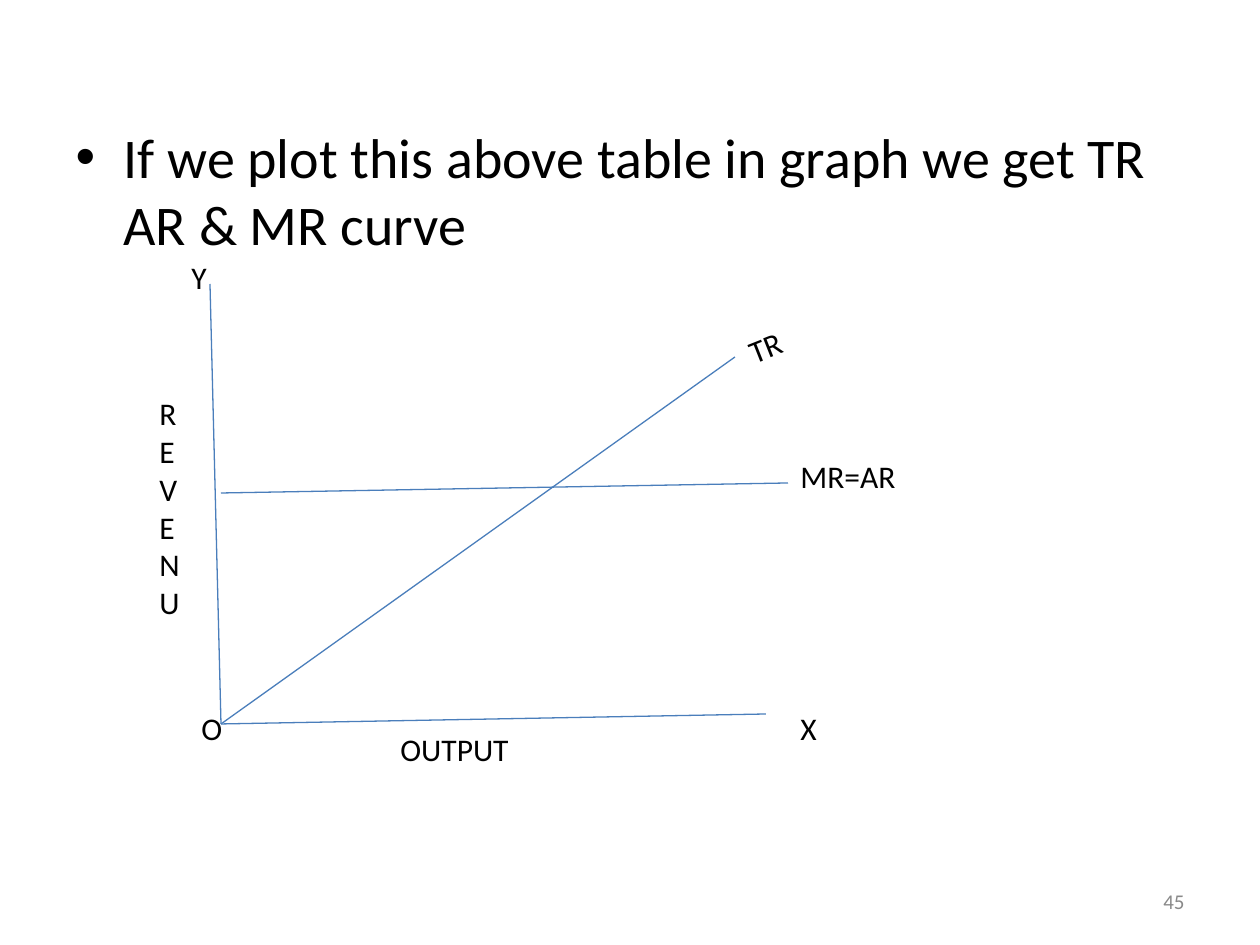
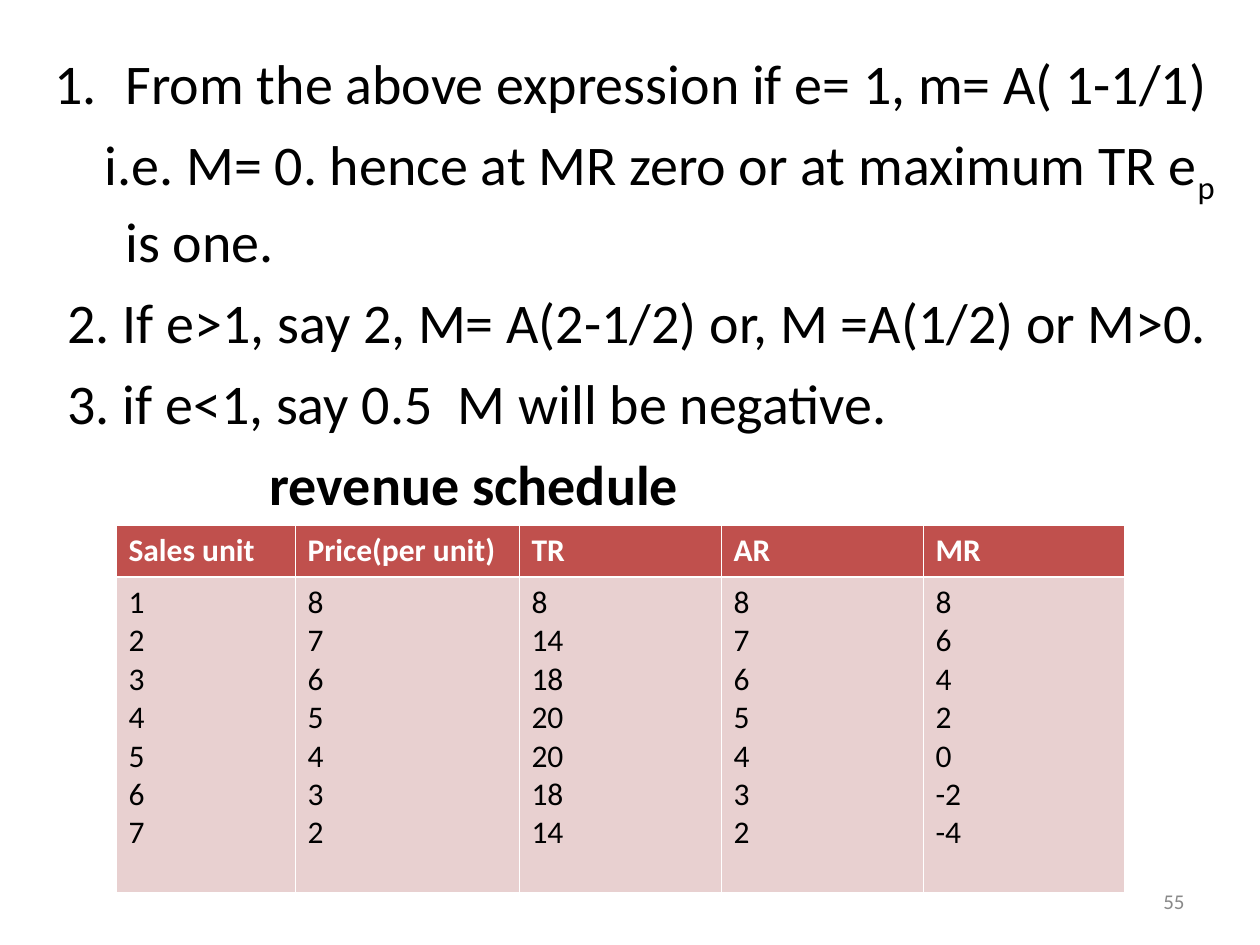
from lxml import etree
from pptx import Presentation
from pptx.dml.color import RGBColor
from pptx.enum.shapes import MSO_CONNECTOR
from pptx.enum.text import MSO_ANCHOR, MSO_AUTO_SIZE, PP_ALIGN
from pptx.oxml.ns import qn
from pptx.util import Emu, Pt

STRAIGHT = MSO_CONNECTOR.STRAIGHT
MIDDLE = MSO_ANCHOR.MIDDLE
NO_FIT = MSO_AUTO_SIZE.NONE
LEFT, RIGHT = PP_ALIGN.LEFT, PP_ALIGN.RIGHT

COLORS = {"text": "000000", "page": "898989", "line": "4A7EBB",
          "head": "C0504D", "cell": "E8D0D0", "white": "FFFFFF"}
FONT = "Calibri"
PX = 914400 / 126


def px(*nums):
    return [Emu(round(n * PX)) for n in nums]


def add_run(para, text, size, color="text", bold=False):
    run = para.add_run()
    run.text = text
    font = run.font
    font.name, font.size, font.bold = FONT, Pt(size), bold
    font.color.rgb = RGBColor.from_string(COLORS[color])
    return run


prs = Presentation()
prs.slide_width, prs.slide_height = px(1260, 945)

# Both slides: body list and page number
# Paragraph: bullet tag, bullet attributes, margin, indent, runs (text, style)
graph_list = [
    ("buChar", {"char": "•"}, 48, -48,
     [("If we plot this above table in graph we get TR AR & MR curve", "")]),
]
rule_list = [
    ("buAutoNum", {"type": "arabicPeriod"}, 71, -71,
     [("From the above expression if e= 1, m= A( 1-1/1)", "")]),
    ("buNone", {}, 71, -21,
     [("i.e. M= 0. hence at MR zero or at maximum TR e", ""),
      ("p ", "sub"), (" is one.", "")]),
    ("buNone", {}, 71, -58,
     [("2. If e>1, say 2, M= A(2-1/2) or, M =A(1/2) or M>0.", "")]),
    ("buNone", {}, 71, -58,
     [("3. if e<1, say 0.5  M will be negative.", "")]),
    ("buNone", {}, 71, 144, [("revenue schedule", "bold")]),
]
slides = []
for page, box, paras in [("45", (63, 116, 1134, 728), graph_list),
                         ("55", (42, 42, 1197, 829), rule_list)]:
    slide = prs.slides.add_slide(prs.slide_layouts[1])
    slides.append(slide)
    title = slide.shapes.title
    title.element.getparent().remove(title.element)

    body = slide.placeholders[1]
    body.left, body.top, body.width, body.height = px(*box)
    frame = body.text_frame
    frame.auto_size = NO_FIT
    for i, (tag, attrs, margin, indent, runs) in enumerate(paras):
        para = frame.add_paragraph() if i else frame.paragraphs[0]
        para.space_before = Pt(8 if i else 0)
        props = para._p.get_or_add_pPr()
        for name, value in zip(("marL", "indent"), px(margin, indent)):
            props.set(name, str(value))
        etree.SubElement(props, qn("a:" + tag), attrs)
        for text, style in runs:
            run = add_run(para, text, 32, bold=style == "bold")
            if style == "sub":
                run.font._element.set("baseline", "-25000")

    number = slide.shapes.add_textbox(*px(903, 876, 294, 50)).text_frame
    number.word_wrap = True
    number.vertical_anchor = MIDDLE
    number.paragraphs[0].alignment = RIGHT
    add_run(number.paragraphs[0], page, 12, "page")

graph, rules = slides

# Graph: axes and curves
origin = (221, 724)
for start, end in [((210, 284), origin), (origin, (766, 714)),
                   ((221, 493), (788, 483)), (origin, (735, 357))]:
    line = graph.shapes.add_connector(STRAIGHT, *px(*start, *end))
    line.line.color.rgb = RGBColor.from_string(COLORS["line"])
    line.line.width = Pt(0.75)
    etree.SubElement(line._element.spPr, qn("a:effectLst"))

# Graph: labels
for text, left, top, width, height, turn in [
    ("TR", 735, 315, 94, 50, 338.4),
    ("MR=AR", 788, 451, 147, 50, 0),
    ("X", 788, 703, 32, 50, 0),
    ("O", 189, 703, 57, 50, 0),
    ("OUTPUT", 388, 724, 158, 50, 0),
    ("Y", 179, 252, 47, 50, 0),
    ("REVENU", 147, 388, 53, 239, 0),
]:
    label = graph.shapes.add_textbox(*px(left, top, width, height))
    label.rotation = turn
    label.text_frame.word_wrap = True
    add_run(label.text_frame.paragraphs[0], text, 18)

# Revenue schedule
schedule = [
    ("Sales unit", 179, [1, 2, 3, 4, 5, 6, 7]),
    ("Price(per unit)", 224, [8, 7, 6, 5, 4, 3, 2]),
    ("TR", 202, [8, 14, 18, 20, 20, 18, 14]),
    ("AR", 202, [8, 7, 6, 5, 4, 3, 2]),
    ("MR", 201, [8, 6, 4, 2, 0, -2, -4]),
]
table = rules.shapes.add_table(2, len(schedule), *px(116, 525, 1008, 367)).table
for row, height in zip(table.rows, px(52, 315)):
    row.height = height
for c, (head, width, values) in enumerate(schedule):
    table.columns[c].width = px(width)[0]
    for r, (lines, fill, color) in enumerate([([head], "head", "white"),
                                              (values, "cell", "text")]):
        cell = table.cell(r, c)
        cell.fill.solid()
        cell.fill.fore_color.rgb = RGBColor.from_string(COLORS[fill])
        frame = cell.text_frame
        for i, value in enumerate(lines):
            para = frame.add_paragraph() if i else frame.paragraphs[0]
            para.alignment = LEFT
            add_run(para, str(value), 18, color, bold=r == 0)
        # White borders, thicker between the header and the values
        props = cell._tc.get_or_add_tcPr()
        thick = "B" if r == 0 else "T"
        for i, side in enumerate("LRTB"):
            weight = Pt(1.47 if side == thick else 0.45)
            edge = etree.Element(qn("a:ln" + side), w=str(weight))
            paint = etree.SubElement(edge, qn("a:solidFill"))
            etree.SubElement(paint, qn("a:srgbClr"), val=COLORS["white"])
            props.insert(i, edge)

prs.save("out.pptx")
